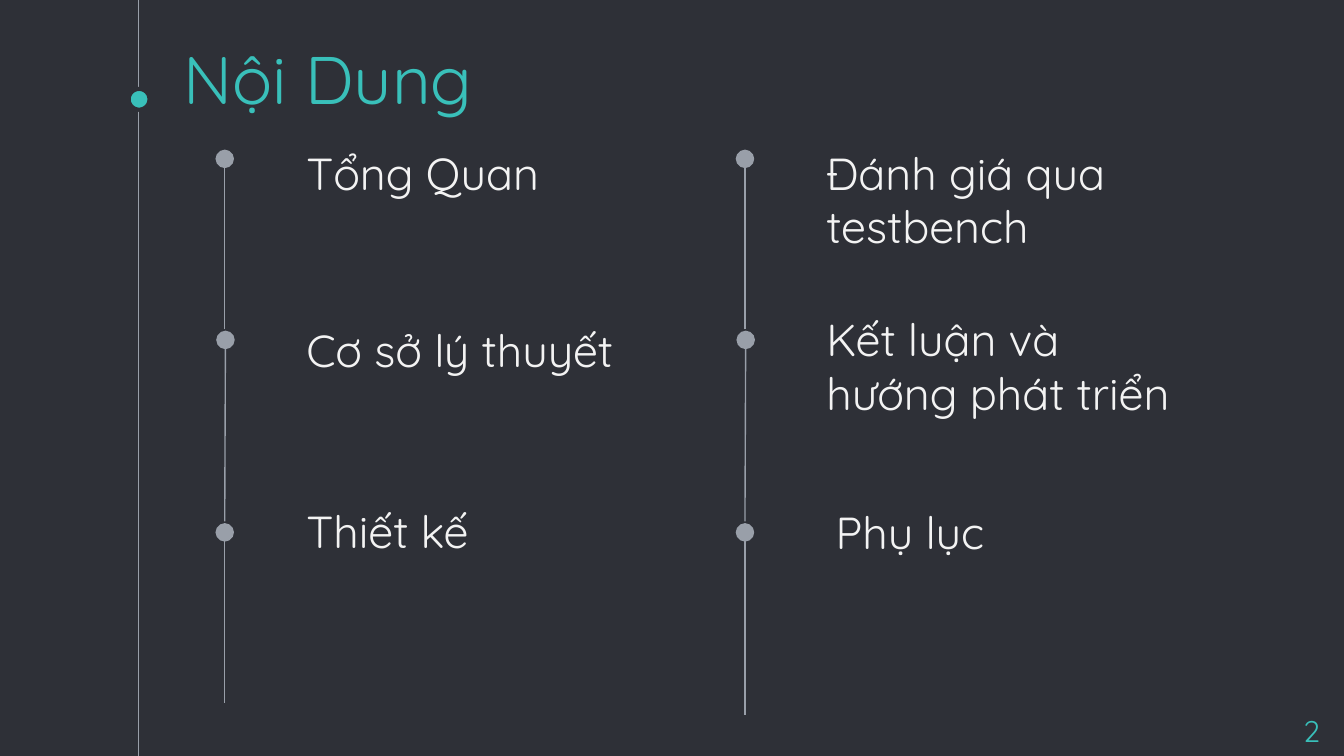
from lxml import etree
from pptx import Presentation
from pptx.dml.color import RGBColor
from pptx.enum import shapes, text
from pptx.oxml import ns
from pptx.util import Pt

DARK = RGBColor(0x2E, 0x30, 0x37)
TEAL = RGBColor(0x39, 0xC0, 0xBA)
GREY = RGBColor(0x99, 0x9F, 0xA9)
LIGHT = RGBColor(0xF3, 0xF3, 0xF3)
ITEM = {"size": Pt(24), "color": LIGHT}


def add_line(x1, y1, x2, y2, dot=True):
    """Draw a thin grey line, with a large round dot at its second end."""
    line = page.shapes.add_connector(
        shapes.MSO_CONNECTOR.STRAIGHT, Pt(x1), Pt(y1), Pt(x2), Pt(y2))
    line.line.color.rgb = GREY
    line.line.width = Pt(0.75)
    if dot:
        etree.SubElement(line.line._get_or_add_ln(), ns.qn("a:tailEnd"),
                         type="oval", w="lg", len="lg")
    etree.SubElement(line._element.spPr, ns.qn("a:effectLst"))


def add_text(words, left, top, width, height, style, frame_style=None, align=None):
    box = page.shapes.add_textbox(Pt(left), Pt(top), Pt(width), Pt(height))
    frame = box.text_frame
    frame_format = {"word_wrap": True, "margin_top": Pt(7.2), "margin_bottom": Pt(7.2)}
    frame_format.update(frame_style or {})
    for name, value in frame_format.items():
        setattr(frame, name, value)
    para = frame.paragraphs[0]
    para.alignment = align
    span = para.add_run()
    span.text = words
    for name, value in {"name": "Quicksand", "size": style["size"]}.items():
        setattr(span.font, name, value)
    span.font.color.rgb = style["color"]


deck = Presentation()
deck.slide_width, deck.slide_height = Pt(720), Pt(405)
page = deck.slides.add_slide(deck.slide_layouts[6])
page.background.fill.solid()
page.background.fill.fore_color.rgb = DARK

# Margin line with the title marker
add_line(74.3, 0, 74.3, 405, dot=False)
marker = page.shapes.add_shape(
    shapes.MSO_SHAPE.OVAL, Pt(68.9), Pt(47.6), Pt(11.2), Pt(11.2))
marker.shadow.inherit = False
marker.fill.solid()
marker.fill.fore_color.rgb = TEAL
marker.line.color.rgb = DARK
marker.line.width = Pt(2.25)

add_text("Nội Dung", 91.5, 43.2, 540, 27.4, {"size": Pt(36), "color": TEAL},
         {"vertical_anchor": text.MSO_ANCHOR.BOTTOM})
add_text("2", 671, 374.4, 43.2, 24.5, {"size": Pt(16), "color": TEAL},
         align=text.PP_ALIGN.RIGHT)

# Two timelines: each segment rises to its dot
for x, bottom in ((120.4, 376.6), (399.1, 383)):
    add_line(x, 176.4, x, 85.1)
    add_line(x, 279.4, x + 0.4, 182.1)
    add_line(x, bottom, x, 285.2)

for words, left, top, width, height in (
    ("Tổng Quan", 157, 70.6, 182.2, 22.3),
    ("Cơ sở lý thuyết", 157, 165.6, 182.2, 22.3),
    ("Thiết kế", 157, 262.8, 182.2, 22.3),
    ("Đánh giá qua testbench", 435.6, 70.6, 261.4, 22.3),
    ("Kết luận và hướng phát triển", 435.6, 159.8, 202.3, 28.1),
):
    add_text(words, left, top, width, height, ITEM)
add_text("Phụ lục", 440.6, 267.1, 95, 36, ITEM, {
    "word_wrap": False, "margin_top": Pt(3.6), "margin_bottom": Pt(3.6),
    "auto_size": text.MSO_AUTO_SIZE.SHAPE_TO_FIT_TEXT})

deck.save("out.pptx")
